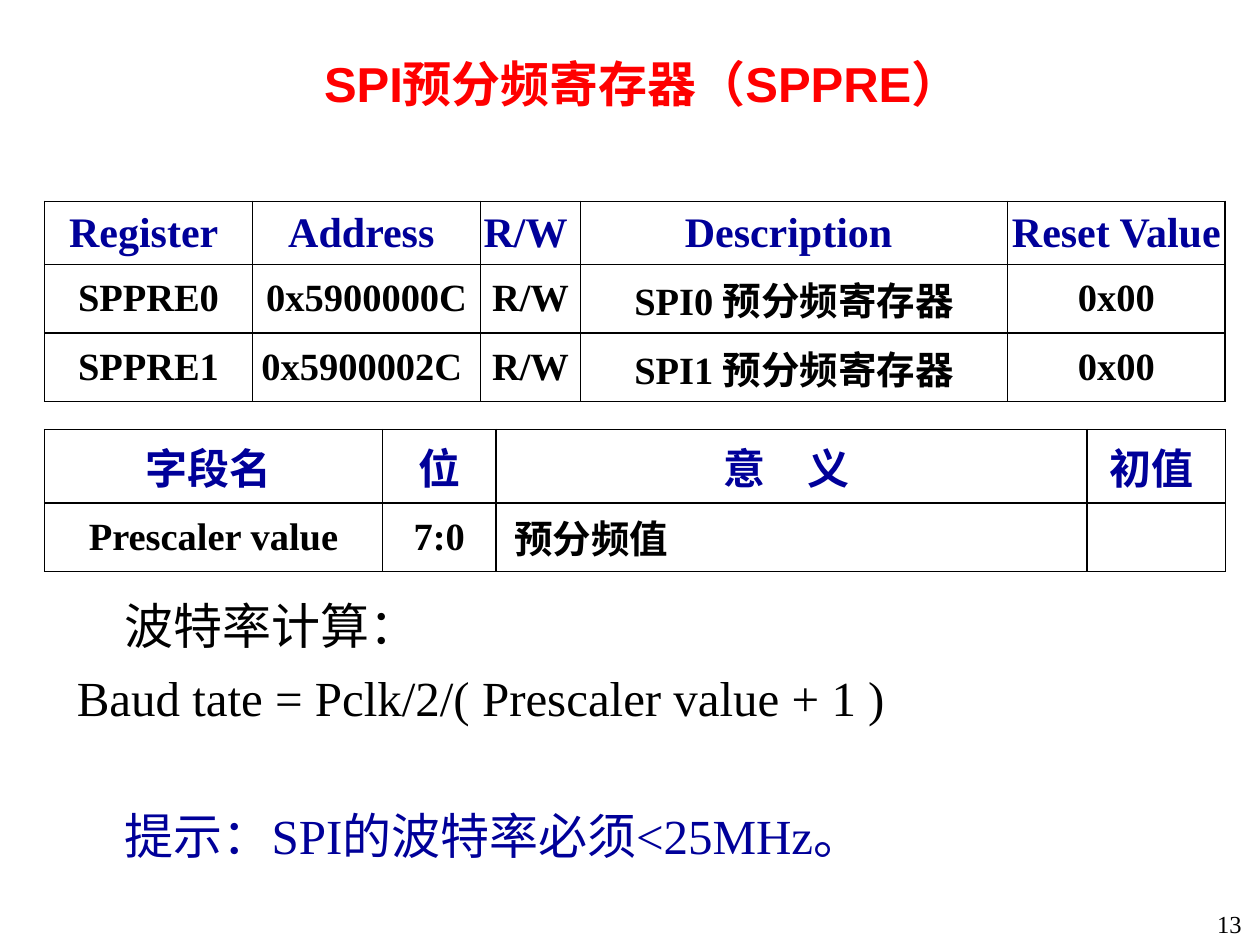
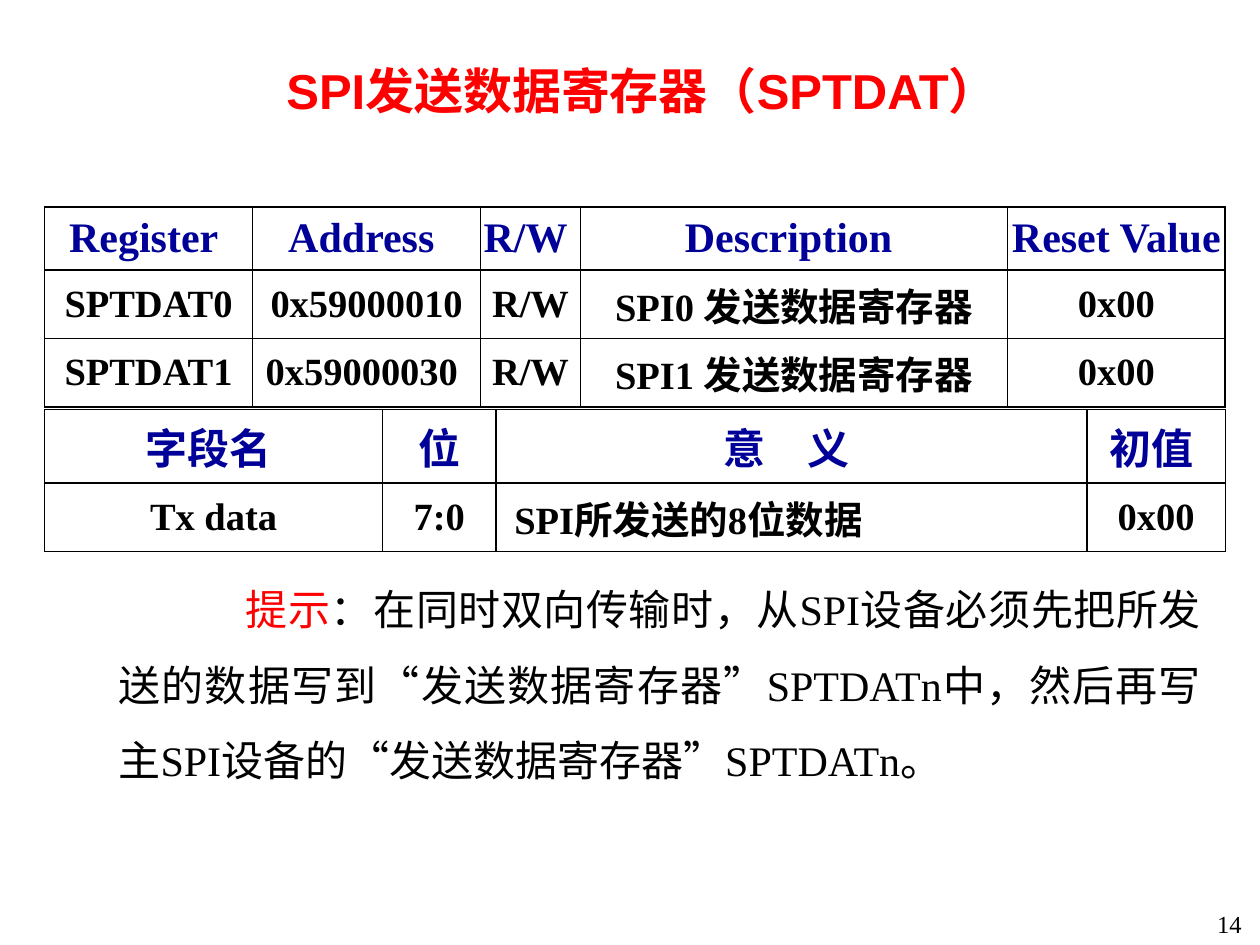
from dataclasses import dataclass
from pptx import Presentation as Deck
from pptx.dml.color import RGBColor as Rgb
from pptx.enum.text import MSO_ANCHOR as Anchor, PP_ALIGN as Align
from pptx.oxml.ns import qn
from pptx.slide import Slide
from pptx.util import Cm, Pt
from lxml.etree import SubElement as add_node

SERIF = "Times New Roman"
SANS = "Arial"
BLACK = "000000"
RED = "FF0000"
NAVY = "000099"
HANG = 0.97
LEFT = 0.9
ROW = 1.38


@dataclass
class Run:
    text: str
    size: float = 28
    color: str = BLACK
    bold: bool = False
    font: str = SERIF


@dataclass
class Para:
    runs: list[Run]
    align: Align = Align.LEFT
    hang: float = HANG
    before: float = 0
    pitch: float = 1.0


@dataclass
class Box:
    place: tuple[float, float, float, float]
    paras: list[Para]
    side: float = 0.25


@dataclass
class Grid:
    top: float
    head: float
    widths: list[float]
    rows: list[list[str]]
    lefts: tuple[int, ...] = ()


@dataclass
class Page:
    title: str
    rise: float
    grids: list[Grid]
    note: Box


def paint(code: str) -> Rgb:
    return Rgb.from_string(code)


def apply(target: object, format: dict) -> None:
    for name, value in format.items():
        setattr(target, name, value)


def fill_para(line, para: Para) -> None:
    apply(line, {"alignment": para.align, "space_before": Pt(para.before),
                 "line_spacing": para.pitch})
    props = line._p.get_or_add_pPr()
    for name, size in {"marL": para.hang, "indent": -para.hang, "defTabSz": 2.54}.items():
        props.set(name, str(Cm(size)))
    for item in para.runs:
        run = line.add_run()
        run.text = item.text
        apply(run.font, {"name": item.font, "size": Pt(item.size), "bold": item.bold})
        run.font.color.rgb = paint(item.color)


def draw_box(slide: Slide, box: Box) -> None:
    frame = slide.shapes.add_textbox(*map(Cm, box.place)).text_frame
    apply(frame, {"word_wrap": True, "margin_left": Cm(box.side), "margin_right": Cm(box.side),
                  "margin_top": Cm(0.13), "margin_bottom": Cm(0.13)})
    for i, para in enumerate(box.paras):
        fill_para(frame.add_paragraph() if i else frame.paragraphs[0], para)


def draw_edges(cell) -> None:
    props = cell._tc.get_or_add_tcPr()
    for i, side in enumerate(("lnL", "lnR", "lnT", "lnB")):
        edge = props.makeelement(qn(f"a:{side}"), {"w": str(Pt(1))})
        props.insert(i, edge)
        add_node(add_node(edge, qn("a:solidFill")), qn("a:srgbClr"), {"val": BLACK})


def draw_grid(slide: Slide, grid: Grid) -> None:
    heights = [grid.head] + [ROW] * (len(grid.rows) - 1)
    place = (LEFT, grid.top, sum(grid.widths), sum(heights))
    table = slide.shapes.add_table(len(grid.rows), len(grid.widths), *map(Cm, place)).table
    apply(table, {"first_row": False, "horz_banding": False})
    for column, width in zip(table.columns, grid.widths):
        column.width = Cm(width)
    for r, words in enumerate(grid.rows):
        table.rows[r].height = Cm(heights[r])
        for c, text in enumerate(words):
            cell = table.cell(r, c)
            flush = r > 0 and c in grid.lefts
            apply(cell, {"vertical_anchor": Anchor.MIDDLE,
                         "margin_left": Cm(0.37 if flush else 0), "margin_right": Cm(0),
                         "margin_top": Cm(0.13), "margin_bottom": Cm(0.13)})
            cell.fill.background()
            draw_edges(cell)
            run = Run(text, 22 if r else 24, BLACK if r else NAVY, True)
            fill_para(cell.text_frame.paragraphs[0],
                      Para([run] if text else [], Align.LEFT if flush else Align.CENTER))


def draw_page(slide: Slide, page: Page, number: int) -> None:
    draw_box(slide, Box((23.35, 18.19, 1.93, 0.86),
                        [Para([Run(str(number), 14, "010000")], Align.RIGHT, 0)]))
    draw_box(slide, Box((1.3, page.rise, 23.29, 2.01),
                        [Para([Run(page.title, 28, RED, True, SANS)], Align.CENTER, 0.71)], 0.23))
    for grid in page.grids:
        draw_grid(slide, grid)
    draw_box(slide, page.note)


def list_regs(top: float, name: str, codes: tuple[str, str], label: str) -> Grid:
    rows = [["Register ", "Address ", "R/W ", "Description ", "Reset Value "]]
    rows += [[f"{name}{i}", code, "R/W", f"SPI{i} {label}", "0x00"]
             for i, code in enumerate(codes)]
    return Grid(top, 1.27, [4.19, 4.6, 2.01, 8.61, 4.39], rows)


def list_bits(top: float, name: str, sense: str, start: str) -> Grid:
    rows = [["字段名 ", "位", "意　义 ", "初值 "], [name, "7:0", sense, start]]
    return Grid(top, 1.48, [6.81, 2.29, 11.91, 2.79], rows, (2,))


PAGES = [
    Page("SPI预分频寄存器（SPPRE）", 0.94,
         [list_regs(4.06, "SPPRE", ("0x5900000C", "0x5900002C "), "预分频寄存器"),
          list_bits(8.66, "Prescaler value", "预分频值", "")],
         Box((1.3, 11.73, 23.19, 5.99), [
             Para([Run("\t", 32), Run("波特率计算：")]),
             Para([Run("Baud tate = Pclk/2/( Prescaler value + 1 )")], before=6.6),
             Para([Run("\t提示：SPI的波特率必须<25MHz。", color=NAVY)], before=45.3)])),
    Page("SPI发送数据寄存器（SPTDAT）", 1.1,
         [list_regs(4.17, "SPTDAT", ("0x59000010", "0x59000030 "), "发送数据寄存器"),
          list_bits(8.26, "Tx data", "SPI所发送的8位数据", "0x00")],
         Box((1.17, 11.13, 23.29, 5.31), [
             Para([Run("\t\t", 24), Run("提示", 24, RED),
                   Run("：在同时双向传输时，从SPI设备必须先把所发送的数据写到“发送数据寄存器”SPTDATn中，"
                       "然后再写主SPI设备的“发送数据寄存器”SPTDATn。", 24)],
                  Align.JUSTIFY, pitch=1.5)])),
]


def main() -> None:
    deck = Deck()
    apply(deck, {"slide_width": Cm(25.4), "slide_height": Cm(19.05)})
    for number, page in enumerate(PAGES, 13):
        draw_page(deck.slides.add_slide(deck.slide_layouts[6]), page, number)
    deck.save("out.pptx")


if __name__ == "__main__":
    main()
